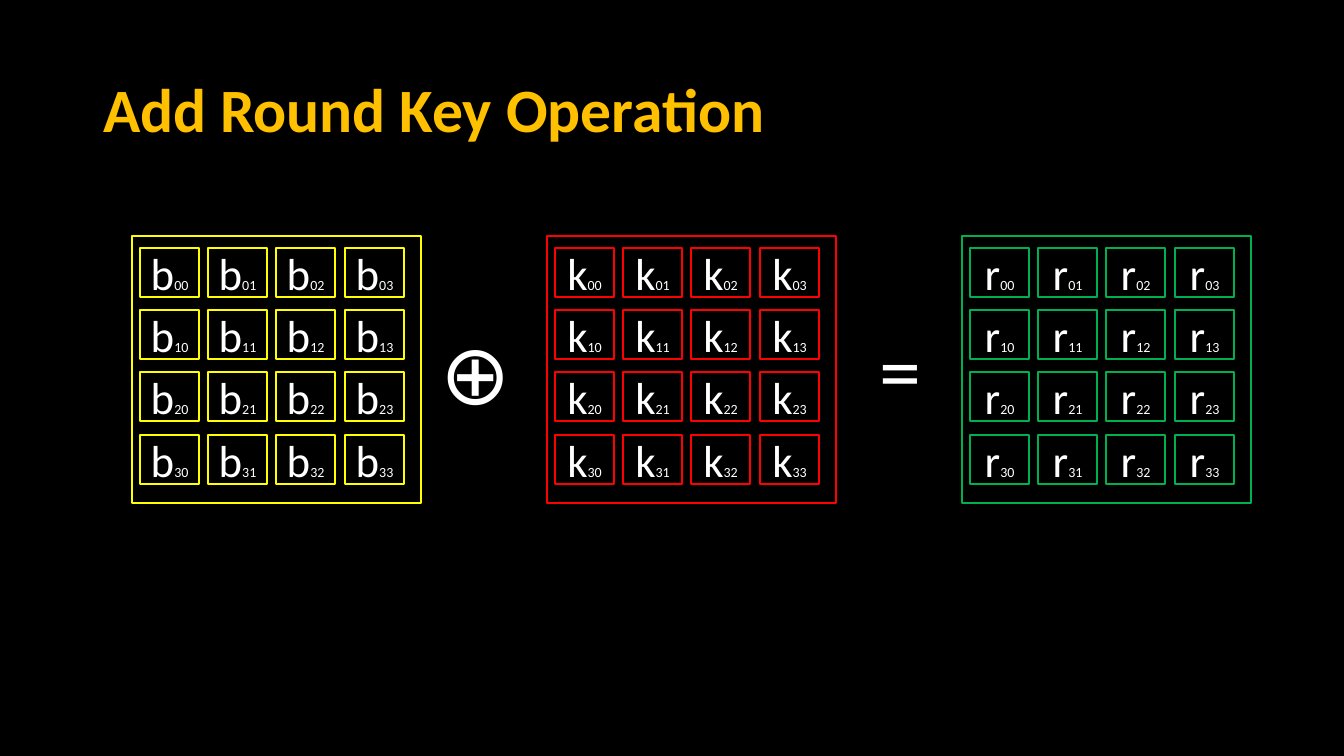
import pptx
import pptx.util
import pptx.dml.color
import pptx.enum.shapes
import pptx.enum.text

RGBColor = pptx.dml.color.RGBColor
BLACK = RGBColor(0x00, 0x00, 0x00)
WHITE = RGBColor(0xFF, 0xFF, 0xFF)
GOLD = RGBColor(0xFF, 0xC0, 0x00)
YELLOW = RGBColor(0xFF, 0xFF, 0x00)
RED = RGBColor(0xFF, 0x00, 0x00)
GREEN = RGBColor(0x00, 0xB0, 0x50)

FONT = "Calibri"
EMU_PER_PX = 914400 / 100.8

MATRIX_TOP, MATRIX_W, MATRIX_H = 236, 289, 267
CELL_W, CELL_H = 59, 49
CELL_DX, CELL_DY = 8, 12    # first cell, measured from the frame's corner
SPAN_X, SPAN_Y = 205, 187   # from the first cell to the last one
SIZE = 4


def px(n):
    return pptx.util.Emu(round(n * EMU_PER_PX))


def box(x, y, w, h):
    return px(x), px(y), px(w), px(h)


def add_run(p, text, size, color, bold=False):
    r = p.add_run()
    r.text = text
    r.font.name = FONT
    r.font.size = pptx.util.Pt(size)
    r.font.bold = bold
    r.font.color.rgb = color


def add_title(s, text):
    sp = s.shapes.title
    sp.left, sp.top, sp.width, sp.height = box(93, 40, 1159, 146)
    tf = sp.text_frame
    tf.vertical_anchor = pptx.enum.text.MSO_ANCHOR.MIDDLE
    p = tf.paragraphs[0]
    p.alignment = pptx.enum.text.PP_ALIGN.LEFT
    p.line_spacing = 0.9
    add_run(p, text, 44, GOLD, bold=True)


def add_frame(s, x, y, w, h, color):
    sp = s.shapes.add_shape(pptx.enum.shapes.MSO_SHAPE.RECTANGLE, *box(x, y, w, h))
    sp.shadow.inherit = False
    sp.fill.background()
    sp.line.color.rgb = color
    sp.line.width = pptx.util.Pt(1)
    return sp


def add_cell(s, x, y, letter, index, color):
    tf = add_frame(s, x, y, CELL_W, CELL_H, color).text_frame
    tf.margin_left = tf.margin_right = 0
    tf.vertical_anchor = pptx.enum.text.MSO_ANCHOR.MIDDLE
    p = tf.paragraphs[0]
    p.alignment = pptx.enum.text.PP_ALIGN.CENTER
    add_run(p, letter, 32, WHITE)
    add_run(p, index, 10, WHITE)


def add_matrix(s, x, letter, color):
    add_frame(s, x, MATRIX_TOP, MATRIX_W, MATRIX_H, color)
    for row in range(SIZE):
        for col in range(SIZE):
            cell_x = x + CELL_DX + SPAN_X * col // (SIZE - 1)
            cell_y = MATRIX_TOP + CELL_DY + SPAN_Y * row // (SIZE - 1)
            add_cell(s, cell_x, cell_y, letter, f"{row}{col}", color)


def add_operator(s, x, y, sign):
    tf = s.shapes.add_textbox(*box(x, y, 68, 112)).text_frame
    tf.word_wrap = True
    add_run(tf.paragraphs[0], sign, 60, WHITE)


def main():
    prs = pptx.Presentation()
    prs.slide_width, prs.slide_height = px(1344), px(756)
    s = prs.slides.add_slide(prs.slide_layouts[5])
    s.background.fill.solid()
    s.background.fill.fore_color.rgb = BLACK

    add_title(s, "Add Round Key Operation")

    # State block, round key and result
    matrices = [("b", YELLOW), ("k", RED), ("r", GREEN)]
    for i, (letter, color) in enumerate(matrices):
        add_matrix(s, 132 + 415 * i, letter, color)

    # Signs between the matrices
    add_operator(s, 431, 316, "\u2295")
    add_operator(s, 870, 313, "=")

    prs.save("out.pptx")


main()
